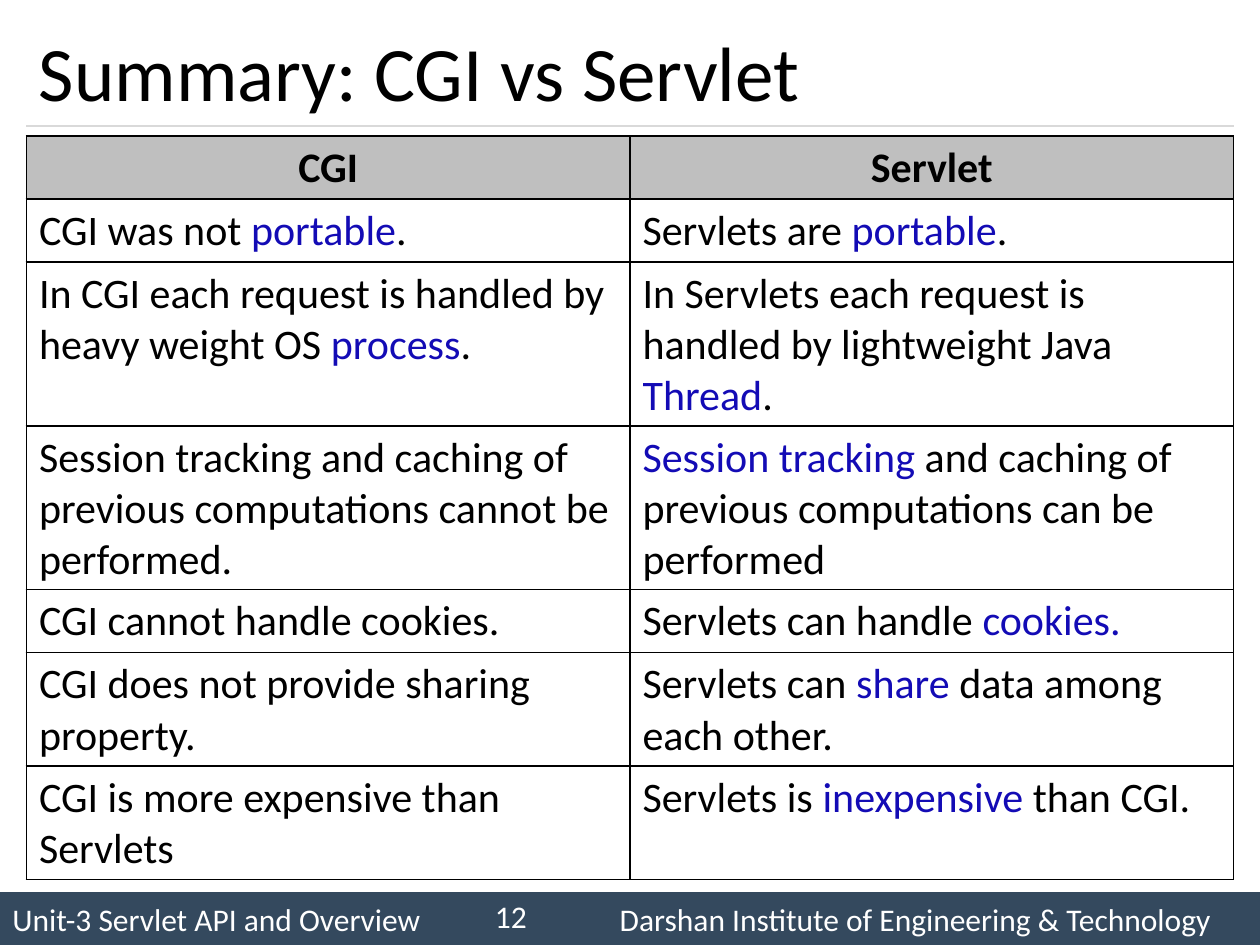
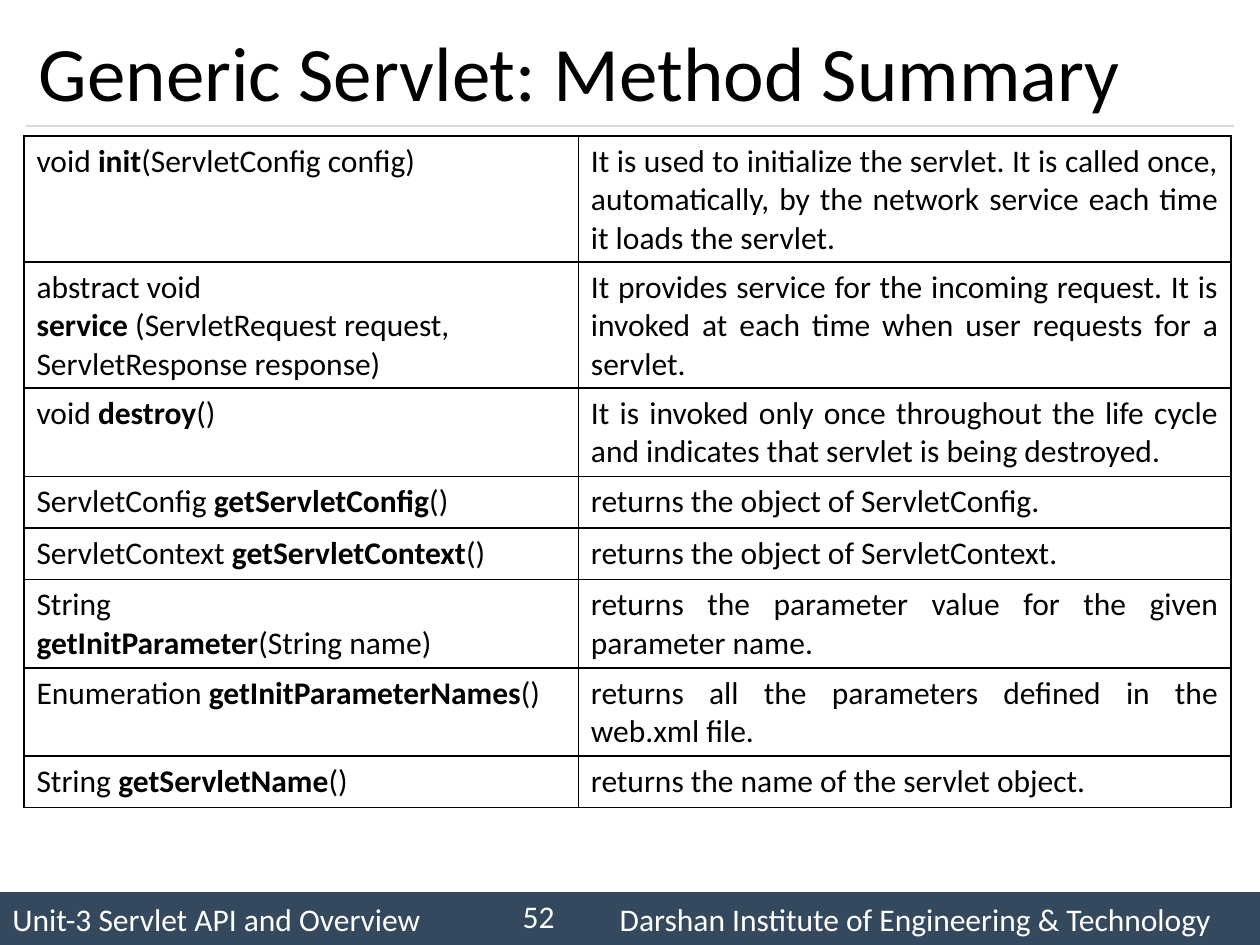
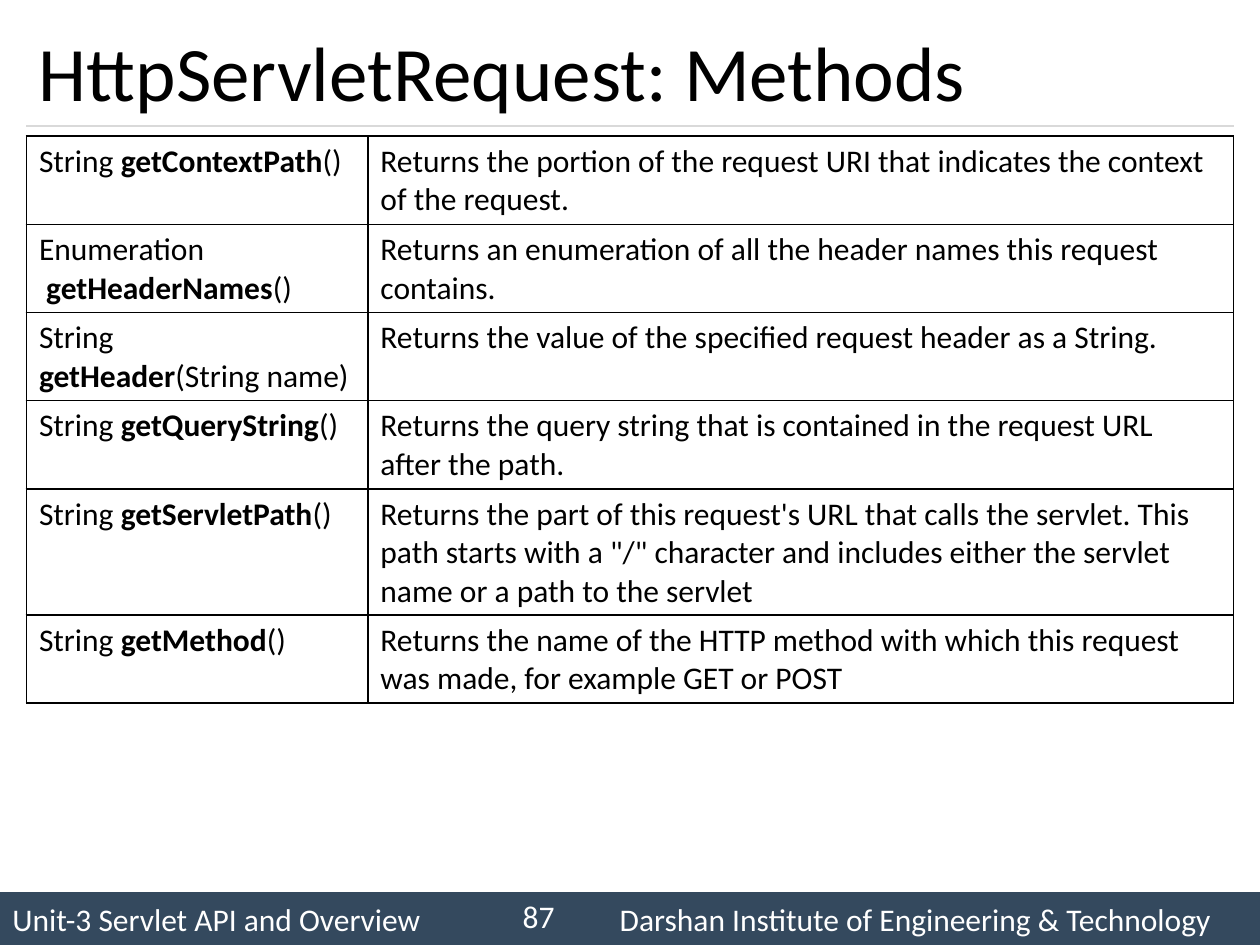
from dataclasses import dataclass

from lxml.etree import SubElement
from pptx import Presentation
from pptx.dml.color import RGBColor
from pptx.enum.shapes import MSO_CONNECTOR, MSO_SHAPE
from pptx.enum.text import MSO_ANCHOR, PP_ALIGN
from pptx.oxml.ns import qn
from pptx.util import Inches, Pt


@dataclass(frozen=True)
class Theme:
    font: str = "Calibri"
    ink: str = "000000"
    accent: str = "130BB5"
    light: str = "FFFFFF"
    band: str = "34495E"
    rule: str = "D9D9D9"
    header: str = "BFBFBF"
    title_size: int = 44
    large_size: int = 24
    body_size: int = 18
    border: float = 1
    rule_width: float = 0.75


@dataclass(frozen=True)
class Box:
    left: float
    top: float
    width: float
    height: float

    def lengths(self):
        return [Inches(n) for n in (self.left, self.top, self.width, self.height)]


THEME = Theme()
TITLE_BOX = Box(0.21, 0.12, 9.58, 0.88)
FOOTER_BOX = Box(0, 7.08, 10, 0.42)
UNIT = "Unit-3 Servlet API and Overview"
INSTITUTE = "Darshan Institute of Engineering & Technology"
INSTITUTE_TAB = 4.82

COMPARISON_ROWS = [
    (0.5, "CGI was not |portable|.", "Servlets are |portable|."),
    (1.3, "In CGI each request is handled by heavy weight OS |process|.",
     "In Servlets each request is handled by lightweight Java |Thread|."),
    (1.3, "Session tracking and caching of previous computations cannot be performed.",
     "|Session tracking| and caching of previous computations can be performed"),
    (0.5, "CGI cannot handle cookies.", "Servlets can handle |cookies.|"),
    (0.9, "CGI does not provide sharing property.",
     "Servlets can |share| data among each other."),
    (0.9, "CGI is more expensive than Servlets",
     "Servlets is |inexpensive| than CGI."),
]

GENERIC_ROWS = [
    (1, "void |init|(ServletConfig config)",
     "It is used to initialize the servlet. It is called once, automatically, "
     "by the network service each time it loads the servlet."),
    (1, "abstract void\n|service| (ServletRequest request, ServletResponse response)",
     "It provides service for the incoming request. It is invoked at each time "
     "when user requests for a servlet."),
    (0.7, "void |destroy|()",
     "It is invoked only once throughout the life cycle and indicates that "
     "servlet is being destroyed."),
    (0.41, "ServletConfig |getServletConfig|()", "returns the object of ServletConfig."),
    (0.41, "ServletContext |getServletContext|()", "returns the object of ServletContext."),
    (0.7, "String\n|getInitParameter|(String name)",
     "returns the parameter value for the given parameter name."),
    (0.7, "Enumeration |getInitParameterNames|()",
     "returns all the parameters defined in the web.xml file."),
    (0.41, "String |getServletName|()", "returns the name of the servlet object."),
]

REQUEST_ROWS = [
    (0.7, "String |getContextPath|()",
     "Returns the portion of the request URI that indicates the context of the request."),
    (0.7, "Enumeration\n |getHeaderNames|()",
     "Returns an enumeration of all the header names this request contains."),
    (0.7, "String\n|getHeader|(String name)",
     "Returns the value of the specified request header as a String."),
    (0.7, "String |getQueryString|()",
     "Returns the query string that is contained in the request URL after the path."),
    (1, "String |getServletPath|()",
     "Returns the part of this request's URL that calls the servlet. This path "
     "starts with a \"/\" character and includes either the servlet name or a "
     "path to the servlet"),
    (0.7, "String |getMethod|()",
     "Returns the name of the HTTP method with which this request was made, "
     "for example GET or POST"),
]


def color(value):
    return RGBColor.from_string(value)


def style_paragraph(para, size, value, align=PP_ALIGN.LEFT):
    para.alignment = align
    para.font.name = THEME.font
    para.font.size = Pt(size)
    para.font.color.rgb = color(value)


def emphasize_bold(span):
    span.font.bold = True


def emphasize_color(span):
    span.font.color.rgb = color(THEME.accent)


def write_text(frame, text, size, value, align=PP_ALIGN.LEFT, emphasize=emphasize_bold):
    frame.word_wrap = True
    for number, line in enumerate(text.split("\n")):
        para = frame.add_paragraph() if number else frame.paragraphs[0]
        style_paragraph(para, size, value, align)
        for position, part in enumerate(line.split("|")):
            if part:
                span = para.add_run()
                span.text = part
                if position % 2:
                    emphasize(span)


def add_label(page, box, text, size, value, align=PP_ALIGN.LEFT):
    frame = page.shapes.add_textbox(*box.lengths()).text_frame
    frame.vertical_anchor = MSO_ANCHOR.MIDDLE
    write_text(frame, text, size, value, align)


def add_title(page, box, title):
    add_label(page, box, title, THEME.title_size, THEME.ink)
    bottom = Inches(box.top + box.height)
    rule = page.shapes.add_connector(
        MSO_CONNECTOR.STRAIGHT, Inches(box.left), bottom,
        Inches(box.left + box.width), bottom)
    rule.line.color.rgb = color(THEME.rule)
    rule.line.width = Pt(THEME.rule_width)
    SubElement(rule._element.spPr, qn("a:effectLst"))


def add_footer(page, box, number, number_align):
    band = page.shapes.add_shape(MSO_SHAPE.RECTANGLE, *box.lengths())
    band.shadow.inherit = False
    band.fill.solid()
    band.fill.fore_color.rgb = color(THEME.band)
    band.line.fill.background()
    frame = band.text_frame
    frame.vertical_anchor = MSO_ANCHOR.MIDDLE
    tabs = SubElement(frame.paragraphs[0]._p.get_or_add_pPr(), qn("a:tabLst"))
    SubElement(tabs, qn("a:tab"), pos=str(Inches(INSTITUTE_TAB)), algn="l")
    write_text(frame, f"{UNIT}\t{INSTITUTE}", THEME.body_size, THEME.light)
    number_box = Box(box.left + 3.83, box.top - 0.01, 0.67, 0.4)
    add_label(page, number_box, str(number), THEME.body_size, THEME.light, number_align)


def set_borders(cell):
    properties = cell._tc.get_or_add_tcPr()
    for position, side in enumerate(("lnL", "lnR", "lnT", "lnB")):
        line = properties.makeelement(qn(f"a:{side}"), {"w": str(Pt(THEME.border))})
        fill = SubElement(line, qn("a:solidFill"))
        SubElement(fill, qn("a:srgbClr"), val=THEME.ink)
        properties.insert(position, line)


def add_row(page, box, columns, texts, size, aligns, emphasize, fill=None):
    table = page.shapes.add_table(1, len(columns), *box.lengths()).table
    table.first_row = False
    table.horz_banding = False
    for column, width in zip(table.columns, columns):
        column.width = Inches(width)
    for cell, text, align in zip(table.iter_cells(), texts, aligns):
        if fill:
            cell.fill.solid()
            cell.fill.fore_color.rgb = color(fill)
        else:
            cell.fill.background()
        set_borders(cell)
        write_text(cell.text_frame, text, size, THEME.ink, align, emphasize)


def add_rows(page, left, top, columns, rows, size, aligns, emphasize=emphasize_bold):
    for height, *texts in rows:
        box = Box(left, top, sum(columns), height)
        add_row(page, box, columns, texts, size, aligns, emphasize)
        top += height


def add_page(deck, title, number, number_align=PP_ALIGN.RIGHT):
    page = deck.slides.add_slide(deck.slide_layouts[6])
    add_footer(page, FOOTER_BOX, number, number_align)
    add_title(page, TITLE_BOX, title)
    return page


def add_comparison(deck):
    page = add_page(deck, "Summary: CGI vs Servlet", 12, PP_ALIGN.LEFT)
    columns = (4.79, 4.79)
    header = Box(0.21, 1.08, sum(columns), 0.5)
    add_row(page, header, columns, ("|CGI|", "|Servlet|"), THEME.large_size,
            [PP_ALIGN.CENTER] * 2, emphasize_bold, THEME.header)
    add_rows(page, header.left, header.top + header.height, columns, COMPARISON_ROWS,
             THEME.large_size, [PP_ALIGN.LEFT] * 2, emphasize_color)


def add_methods(deck, title, number, left, columns, rows, description_align):
    page = add_page(deck, title, number)
    add_rows(page, left, 1.08, columns, rows, THEME.body_size,
             (PP_ALIGN.LEFT, description_align))


def main():
    deck = Presentation()
    deck.slide_width = Inches(10)
    deck.slide_height = Inches(7.5)
    add_comparison(deck)
    add_methods(deck, "Generic Servlet: Method Summary", 52, 0.19, (4.4, 5.18),
                GENERIC_ROWS, PP_ALIGN.JUSTIFY)
    add_methods(deck, "HttpServletRequest: Methods", 87, 0.21, (2.71, 6.87),
                REQUEST_ROWS, PP_ALIGN.LEFT)
    deck.save("out.pptx")


if __name__ == "__main__":
    main()
